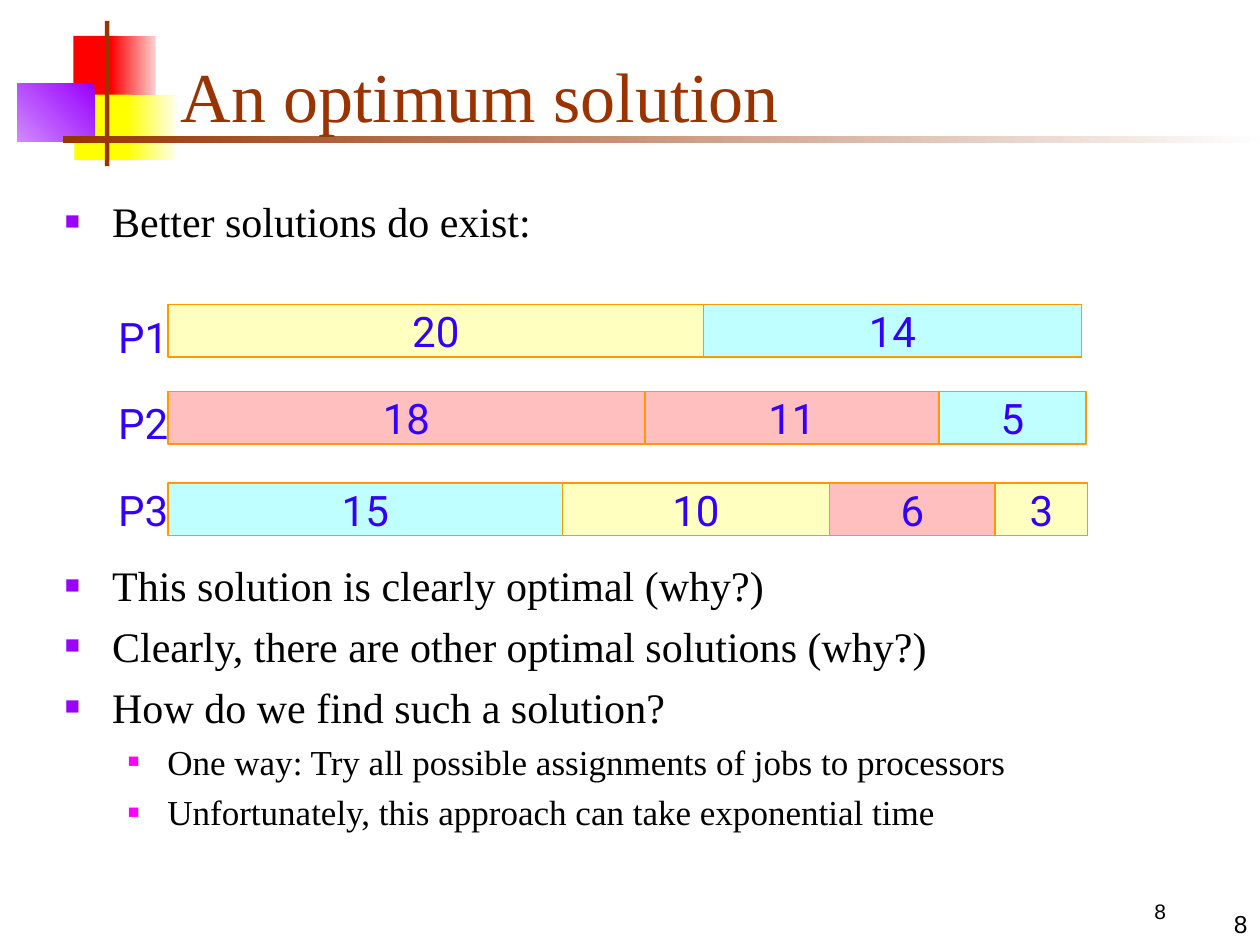
from lxml import etree
from pptx import Presentation
from pptx.dml.color import RGBColor
from pptx.enum import shapes, text
from pptx.oxml import ns
from pptx.util import Pt

RGB = RGBColor.from_string
AL, ANC = text.PP_ALIGN, text.MSO_ANCHOR
INK, BROWN, BLUE, ORANGE = "000000", "993300", "3300FF", "FF9900"
YELLOW, PINK, CYAN = "FFFFBF", "FFBFBF", "BFFFFF"


def add_rect(s, x, y, w, h):
    sp = s.shapes.add_shape(shapes.MSO_SHAPE.RECTANGLE, Pt(x), Pt(y), Pt(w), Pt(h))
    sp.shadow.inherit = False
    sp.line.fill.background()
    return sp


def write(sp, lines, size, font, color, anchor=ANC.TOP, wrap=True, **fmt):
    """Fill a shape with paragraphs; fmt holds paragraph attributes."""
    tf = sp.text_frame
    tf.word_wrap = wrap
    tf.vertical_anchor = anchor
    for i, line in enumerate(lines):
        p = tf.paragraphs[0] if i == 0 else tf.add_paragraph()
        r = p.add_run()
        r.text = line
        for key, value in {"size": Pt(size), "name": font, "bold": False}.items():
            setattr(r.font, key, value)
        r.font.color.rgb = RGB(color)
        for key, value in fmt.items():
            setattr(p, key, value)
    return tf


prs = Presentation()
prs.slide_width, prs.slide_height = Pt(720), Pt(540)
s = prs.slides.add_slide(prs.slide_layouts[5])

# Corner decoration and title rule: box, colours, clockwise gradient angle
decor = [
    ((42, 20.5, 25, 37.5), ["FF0000"], 0),
    ((63.5, 20.5, 25.5, 37.5), ["FED0D0", "FF0000"], 180),
    ((42.5, 54, 33, 37.5), ["FFFF00"], 0),
    ((72, 54.5, 29, 37), ["FEFEEF", "FFFF00"], 180),
    ((10, 47.5, 44, 33.5), ["9900FF", "CF8AFE"], 135),
    ((60, 12, 2.5, 83), [BROWN], 0),
    ((36, 77.75, 684, 4), ["FEFEFE", BROWN], 180),
]
for box, colors, angle in decor:
    fill = add_rect(s, *box).fill
    if len(colors) == 1:
        fill.solid()
        fill.fore_color.rgb = RGB(colors[0])
    else:
        fill.gradient()
        fill.gradient_angle = 360 - angle
        for stop, color, pos in zip(fill.gradient_stops, colors, (0, 1)):
            stop.color.rgb = RGB(color)
            stop.position = pos

# Title, brought in front of the rule
title = s.shapes.title
title.left, title.top, title.width, title.height = Pt(96), Pt(24), Pt(613.5), Pt(60)
write(title, ["An optimum solution"], 40, "Times New Roman", BROWN,
      ANC.MIDDLE, alignment=AL.LEFT)
title._element.getparent().append(title._element)

# Bulleted text: box, then (level, line)
bodies = [
    ((30, 108, 675, 42), [(0, "Better solutions do exist:")]),
    ((30, 316, 675, 166), [
        (0, "This solution is clearly optimal (why?)"),
        (0, "Clearly, there are other optimal solutions (why?)"),
        (0, "How do we find such a solution?"),
        (1, "One way: Try all possible assignments of jobs to processors"),
        (1, "Unfortunately, this approach can take exponential time"),
    ]),
]
# Per level: text size, space before, left margin, hanging indent, bullet colour, bullet %
levels = [(24, 6, 27, 27, "9900FF", 60), (20, 5, 58.5, 22.5, "FF00FF", 55)]
for box, lines in bodies:
    sp = s.shapes.add_textbox(*map(Pt, box))
    tf = write(sp, [line for _, line in lines], 24, "Times New Roman", INK)
    for p, (level, _) in zip(tf.paragraphs, lines):
        size, before, margin, hang, color, pct = levels[level]
        p.level = level
        p.space_before = Pt(before)
        p.runs[0].font.size = Pt(size)
        pPr = p._p.get_or_add_pPr()
        pPr.set("marL", str(Pt(margin)))
        pPr.set("indent", str(-Pt(hang)))
        clr = etree.SubElement(pPr, ns.qn("a:buClr"))
        etree.SubElement(clr, ns.qn("a:srgbClr"), val=color)
        etree.SubElement(pPr, ns.qn("a:buSzPct"), val=str(pct * 1000))
        etree.SubElement(pPr, ns.qn("a:buFont"), typeface="Arial")
        etree.SubElement(pPr, ns.qn("a:buChar"), char="■")

# Schedule: row top, then (job length, right edge, colour)
rows = [
    (174, [(20, 402, YELLOW), (14, 618, CYAN)]),
    (223.75, [(18, 368.5, PINK), (11, 536.5, PINK), (5, 620.5, CYAN)]),
    (276, [(15, 321.5, CYAN), (10, 474, YELLOW), (6, 568.75, PINK), (3, 621.5, YELLOW)]),
]
for top, jobs in rows:
    left = 96
    for job, right, color in jobs:
        sp = add_rect(s, left, top, right - left, 30)
        sp.fill.solid()
        sp.fill.fore_color.rgb = RGB(color)
        sp.line.color.rgb = RGB(ORANGE)
        sp.line.width = Pt(1)
        write(sp, [str(job)], 24, "Roboto", BLUE, ANC.MIDDLE, False, alignment=AL.CENTER)
        left = right

# Processor labels
sp = s.shapes.add_textbox(Pt(60.5), Pt(168.5), Pt(47.5), Pt(140.5))
sp.text_frame.margin_right = 0
write(sp, ["P1", "P2", "P3"], 24, "Roboto", BLUE, line_spacing=1.2, space_before=Pt(15))

# Slide numbers
sp = s.shapes.add_textbox(Pt(624), Pt(510), Pt(78), Pt(24))
write(sp, ["8"], 12, "Arial", INK, alignment=AL.CENTER, space_before=Pt(7.5))
sp = s.shapes.add_textbox(Pt(570), Pt(504), Pt(150), Pt(36))
write(sp, ["8"], 14, "Arial", INK, ANC.BOTTOM, alignment=AL.RIGHT)

prs.save("out.pptx")
